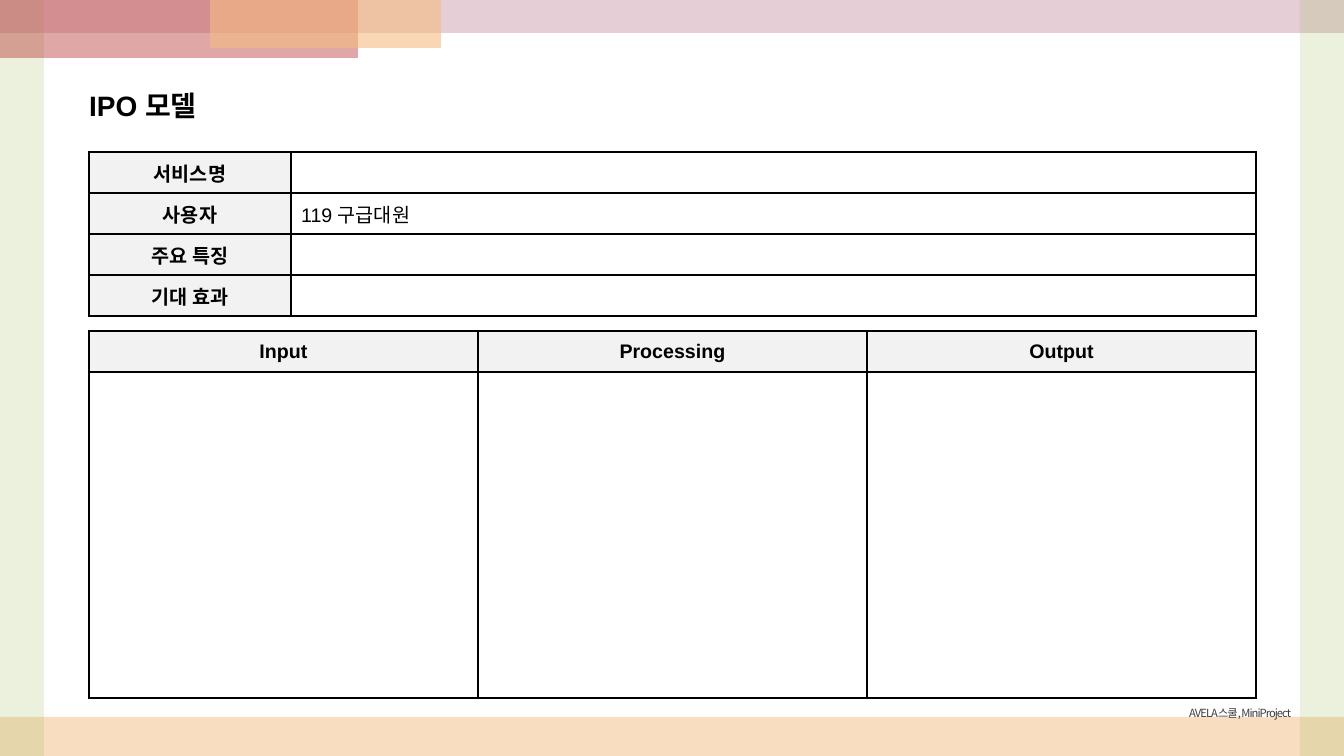
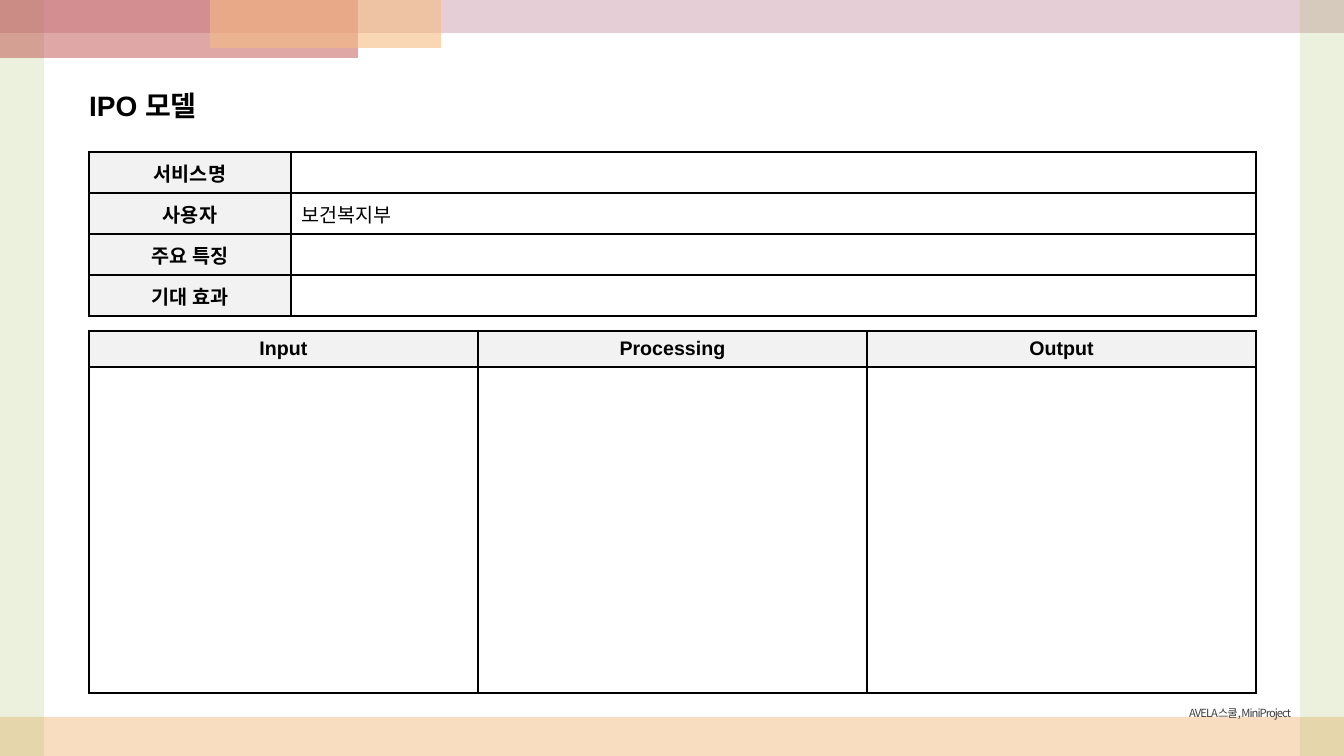
from dataclasses import dataclass

from lxml.etree import SubElement
from pptx import Presentation
from pptx.dml.color import RGBColor
from pptx.enum.shapes import MSO_SHAPE as Shape
from pptx.enum.text import MSO_ANCHOR as Anchor, MSO_AUTO_SIZE as AutoSize, PP_ALIGN as Align
from pptx.oxml import parse_xml
from pptx.oxml.ns import nsdecls, qn
from pptx.util import Pt

TITLE = "IPO 모델"
FOOTER = "AVELA스쿨, MiniProject"
STAGES = ["Input", "Processing", "Output"]
# One entry per slide: the service facts and the height of the stage header.
MODELS = [
    {"facts": [("서비스명", ""), ("사용자", "119 구급대원"), ("주요 특징", ""), ("기대 효과", "")],
     "header": 41},
    {"facts": [("서비스명", ""), ("사용자", "보건복지부"), ("주요 특징", ""), ("기대 효과", "")],
     "header": 36},
]


@dataclass(frozen=True)
class Theme:
    """Colours, fonts and type sizes of the deck."""
    ink: str = "000000"
    muted: str = "3D3D3D"
    paper: str = "FFFFFF"
    label: str = "F2F2F2"
    peach: str = "F5BC83"
    mauve: str = "CC9EAC"
    green: str = "9BBB59"
    red: str = "C0504D"
    latin: str = "Arial"
    korean: str = "Noto Sans CJK KR"
    title_size: int = 20
    cell_size: int = 14
    footer_size: int = 8


THEME = Theme()
SCALE = 914400 / 100.8
WIDTH, HEIGHT = 1344, 756
SIDE = 44
LEFT, TABLE_WIDTH = 89, 1167
LABEL_WIDTH = 202
FACTS_TOP, FACT_ROW = 152, 41
STAGES_TOP, STAGE_BODY = 331, 326
TITLE_BOX = (79, 87, 442, 50)
FOOTER_BOX = (871, 701, 430, 24)

# Left, top, width, height, colour, opacity in percent; from back to front.
BANDS = [
    (0, HEIGHT - 39, WIDTH, 39, THEME.peach, 50),
    (0, 0, WIDTH, 33, THEME.mauve, 50),
    (0, 0, SIDE, HEIGHT, THEME.green, 20),
    (0, 0, 358, 58, THEME.red, 50),
    (210, 0, 231, 48, THEME.peach, 60),
    (WIDTH - SIDE, 0, SIDE, HEIGHT, THEME.green, 20),
]


def emu(pixels):
    """Turn pixels into EMU."""
    return round(pixels * SCALE)


def assign(target, values):
    """Set attributes from a dict of format values."""
    for name, value in values.items():
        setattr(target, name, value)


def place(shape, box):
    """Move and size a shape."""
    names = ("left", "top", "width", "height")
    assign(shape, dict(zip(names, map(emu, box))))


def write(frame, text, size, color=THEME.ink, bold=False, align=Align.LEFT, latin=THEME.latin):
    """Put one formatted run into a text frame and return its paragraph and run."""
    para = frame.paragraphs[0]
    para.alignment = align
    span = para.add_run()
    span.text = text
    assign(span.font, {"name": latin, "size": Pt(size), "bold": bold})
    span.font.color.rgb = RGBColor.from_string(color)
    SubElement(span.font._element, qn("a:ea"), typeface=THEME.korean)
    return para, span


def add_band(page, left, top, width, height, color, opacity):
    """Draw a translucent rectangle."""
    band = page.shapes.add_shape(Shape.RECTANGLE, *map(emu, (left, top, width, height)))
    band.shadow.inherit = False
    band.line.fill.background()
    band.fill.solid()
    band.fill.fore_color.rgb = RGBColor.from_string(color)
    tint = band.element.spPr.find(qn("a:solidFill")).find(qn("a:srgbClr"))
    SubElement(tint, qn("a:alpha"), val=str(opacity * 1000))
    return band


def add_footer(page):
    """Write the footer line."""
    box = page.shapes.add_textbox(*map(emu, FOOTER_BOX))
    assign(box.text_frame, {"word_wrap": True, "auto_size": AutoSize.SHAPE_TO_FIT_TEXT})
    _, span = write(box.text_frame, FOOTER, THEME.footer_size, THEME.muted,
                    align=Align.RIGHT, latin=THEME.korean)
    span.font._element.set("spc", "-70")
    return box


def furnish(layout, page):
    """Move the shared bands, footer and title place into the layout."""
    parts = [add_band(page, *band) for band in BANDS] + [add_footer(page)]
    for part in parts:
        layout.shapes.element.append(part.element)
    place(layout.placeholders[0], TITLE_BOX)


def add_title(page):
    """Fill the title placeholder."""
    frame = page.shapes.title.text_frame
    assign(frame, {"vertical_anchor": Anchor.TOP, "auto_size": AutoSize.NONE, "word_wrap": True})
    para, _ = write(frame, TITLE, THEME.title_size, bold=True)
    assign(para, {"line_spacing": 0.9, "space_before": Pt(10)})


def outline(cell):
    """Draw thin lines on the four sides of a cell."""
    props = cell._tc.get_or_add_tcPr()
    for index, side in enumerate("LRTB"):
        props.insert(index, parse_xml(
            f'<a:ln{side} {nsdecls("a")} w="12700"><a:solidFill>'
            f'<a:srgbClr val="{THEME.ink}"/></a:solidFill></a:ln{side}>'))


def add_grid(page, top, widths, heights, rows, is_label):
    """Add a ruled table; is_label(row, column) tells which cells are headings."""
    box = (LEFT, top, sum(widths), sum(heights))
    table = page.shapes.add_table(len(heights), len(widths), *map(emu, box)).table
    assign(table, {"first_row": False, "horz_banding": False})
    for column, width in zip(table.columns, widths):
        column.width = emu(width)
    for row, height in zip(table.rows, heights):
        row.height = emu(height)
    for r, texts in enumerate(rows):
        for c, text in enumerate(texts):
            cell, label = table.cell(r, c), is_label(r, c)
            cell.vertical_anchor = Anchor.MIDDLE
            cell.fill.solid()
            cell.fill.fore_color.rgb = RGBColor.from_string(THEME.label if label else THEME.paper)
            outline(cell)
            if text:
                write(cell.text_frame, text, THEME.cell_size, bold=label,
                      align=Align.CENTER if label else Align.LEFT)


def add_model(page, facts, header):
    """Build the title and both tables of a slide."""
    add_title(page)
    count = len(STAGES)
    add_grid(page, STAGES_TOP, [TABLE_WIDTH // count] * count, [header, STAGE_BODY],
             [STAGES, [""] * count], lambda row, column: row == 0)
    add_grid(page, FACTS_TOP, [LABEL_WIDTH, TABLE_WIDTH - LABEL_WIDTH],
             [FACT_ROW] * len(facts), facts, lambda row, column: column == 0)


def build():
    """Make the deck and save it."""
    deck = Presentation()
    assign(deck, {"slide_width": emu(WIDTH), "slide_height": emu(HEIGHT)})
    layout = deck.slide_layouts.get_by_name("Title Only")
    pages = [deck.slides.add_slide(layout) for _ in MODELS]
    furnish(layout, pages[0])
    for page, model in zip(pages, MODELS):
        add_model(page, **model)
    deck.save("out.pptx")


build()
